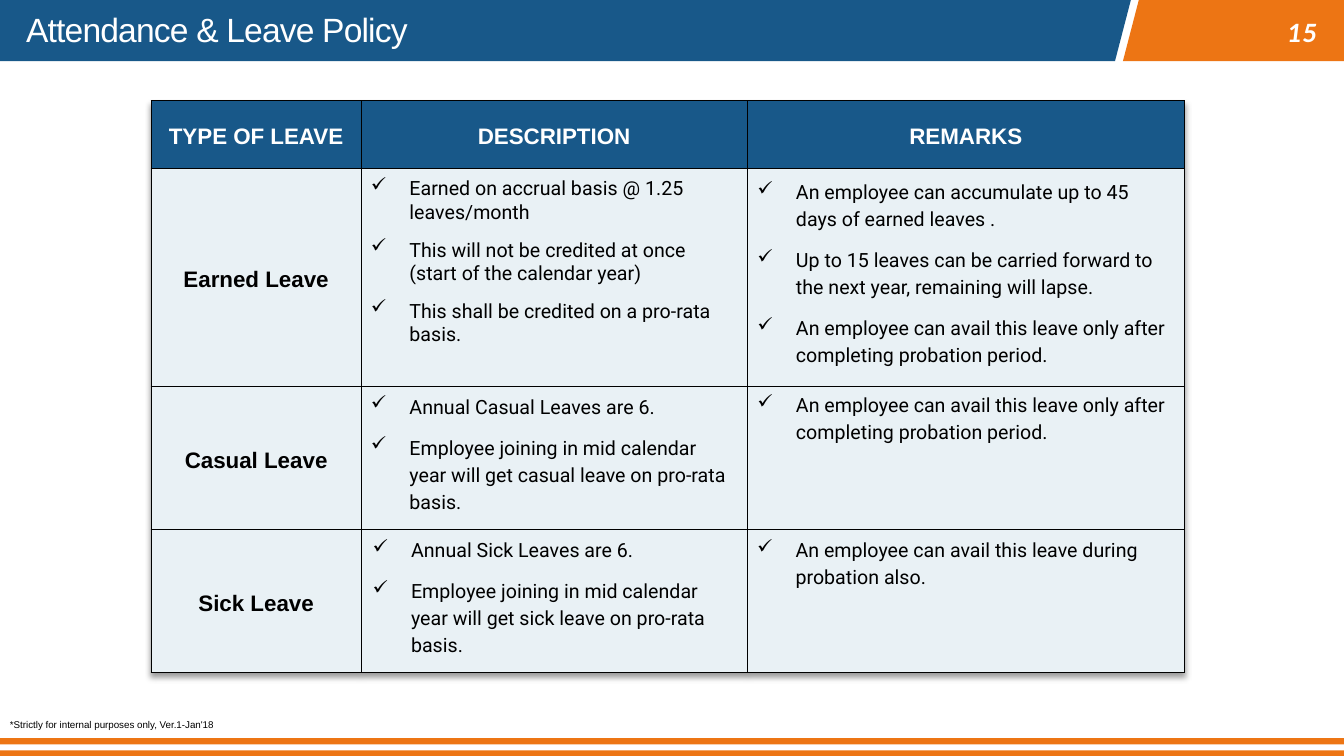
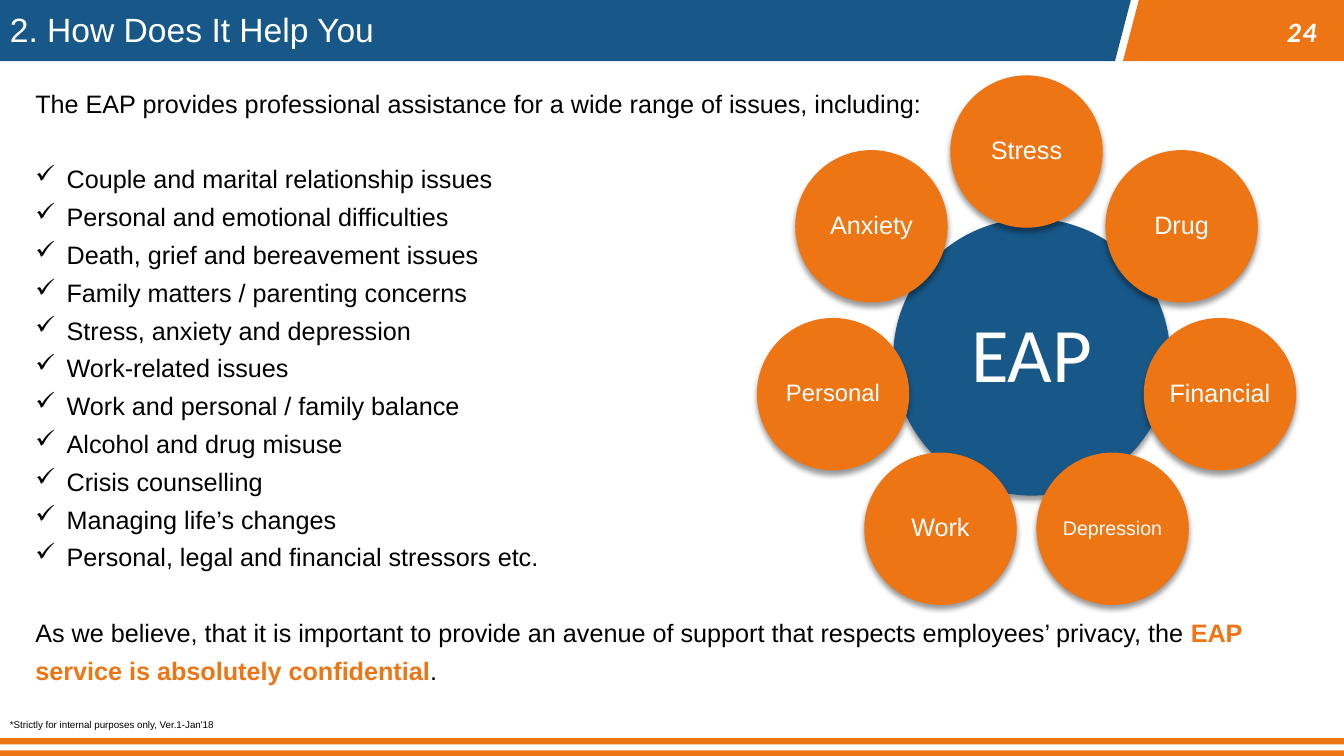
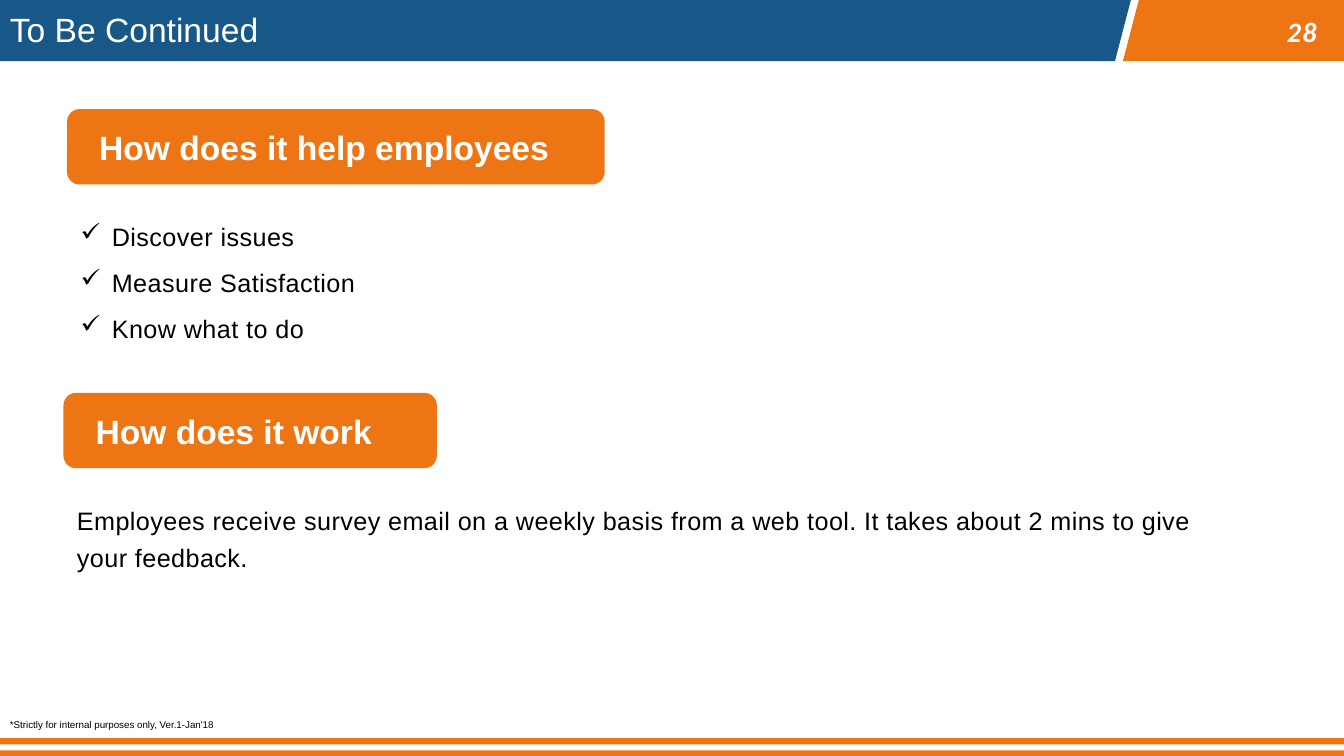
from math import cos, pi, sin

from lxml import etree
from pptx import Presentation
from pptx.dml.color import RGBColor
from pptx.enum.shapes import MSO_SHAPE
from pptx.enum.text import MSO_ANCHOR, PP_ALIGN
from pptx.oxml.ns import qn
from pptx.util import Cm, Pt

RECT = MSO_SHAPE.RECTANGLE
ROUNDED = MSO_SHAPE.ROUNDED_RECTANGLE
OVAL = MSO_SHAPE.OVAL
MIDDLE = MSO_ANCHOR.MIDDLE
CENTER = PP_ALIGN.CENTER

COLORS = {
    "blue": "185889",
    "orange": "ED7514",
    "pale": "E9F1F5",
    "white": "FFFFFF",
    "black": "000000",
}
WIDTH, HEIGHT = 33.87, 19.05
BAND_HEIGHT = 1.54

TITLE = {"size": Pt(24), "name": "Arial", "color": "white"}
HEADING = {**TITLE, "bold": True}
NUMBER = {"size": Pt(20), "name": "Calibri", "color": "white",
          "bold": True, "italic": True, "spc": 90}
FOOTNOTE = {"size": Pt(7), "name": "Arial", "color": "black"}
BODY = {"size": Pt(18), "name": "Arial", "color": "black"}
SPACED = {**BODY, "spc": 30}
EMPHASIS = {**BODY, "color": "orange", "bold": True}
POLICY = {"size": Pt(14), "name": "Roboto", "color": "black"}
LABEL = {"size": Pt(18), "name": "Arial", "color": "white"}
HUB = {"size": Pt(55), "name": "Calibri", "color": "white"}
CELL = {"size": Pt(16), "name": "Arial", "bold": True}

LINE = {"line_spacing": Pt(27)}
CENTERED = {"alignment": CENTER}


def rgb(name):
    return RGBColor.from_string(COLORS[name])


def set_attrs(obj, values):
    for name, value in values.items():
        setattr(obj, name, value)


def paint(shape, color):
    shape.shadow.inherit = False
    shape.fill.solid()
    shape.fill.fore_color.rgb = rgb(color)
    shape.line.fill.background()
    return shape


def add_effect(effects):
    shadow = etree.SubElement(effects, qn("a:outerShdw"), blurRad=str(Pt(4)),
                              dist=str(Pt(3)), dir="5400000", rotWithShape="0")
    color = etree.SubElement(shadow, qn("a:srgbClr"), val=COLORS["black"])
    etree.SubElement(color, qn("a:alpha"), val="40000")


def add_run(p, text, font):
    r = p.add_run()
    r.text = text
    values = dict(font)
    r.font.color.rgb = rgb(values.pop("color"))
    spc = values.pop("spc", None)
    if spc:
        r.font._element.set("spc", str(spc))
    set_attrs(r.font, values)


def add_paragraph(tf, runs, form, indent=0, bullet=False):
    first = tf.paragraphs[0]
    p = tf.add_paragraph() if first.runs else first
    pPr = p._p.get_or_add_pPr()
    if indent:
        pPr.set("marL", str(Cm(indent)))
    if bullet:
        pPr.set("indent", str(-Cm(indent)))
        clr = etree.SubElement(pPr, qn("a:buClr"))
        etree.SubElement(clr, qn("a:srgbClr"), val=COLORS["black"])
        etree.SubElement(pPr, qn("a:buChar"), char="✓")
    set_attrs(p, form)
    for text, font in runs:
        add_run(p, text, font)


def add_text_box(s, x, y, w, h):
    tf = s.shapes.add_textbox(Cm(x), Cm(y), Cm(w), Cm(h)).text_frame
    tf.word_wrap = True
    return tf


def add_block(s, shape, x, y, w, h, color):
    return paint(s.shapes.add_shape(shape, Cm(x), Cm(y), Cm(w), Cm(h)), color)


def add_outline(s, points, color):
    points = [(Cm(x), Cm(y)) for x, y in points]
    builder = s.shapes.build_freeform(*points[0])
    builder.add_line_segments(points[1:])
    paint(builder.convert_to_shape(), color)


def add_slide(prs, title, number, title_left=0, title_spc=0):
    s = prs.slides.add_slide(prs.slide_layouts[6])
    add_outline(s, [(28.5, 0), (0, 0), (0, BAND_HEIGHT), (28.1, BAND_HEIGHT)], "blue")
    add_outline(s, [(WIDTH, 0), (28.7, 0), (28.3, BAND_HEIGHT), (WIDTH, BAND_HEIGHT)], "orange")
    add_block(s, RECT, 0, 18.6, WIDTH, 0.45, "orange")
    add_block(s, RECT, 0, 18.76, WIDTH, 0.15, "white")
    tf = add_text_box(s, title_left, 0, 21, 1.48)
    tf.vertical_anchor = MIDDLE
    add_paragraph(tf, [(title, {**TITLE, "spc": title_spc})], {})
    add_paragraph(add_text_box(s, 32.18, 0.23, 1.5, 1.12), [(number, NUMBER)], {})
    footnote = "*Strictly for internal purposes only, Ver.1-Jan'18"
    add_paragraph(add_text_box(s, 0, 17.98, 10.16, 0.56), [(footnote, FOOTNOTE)], {})
    return s


def add_checklist(s, x, y, w, h, items, spacing):
    tf = add_text_box(s, x, y, w, h)
    for i, item in enumerate(items):
        form = {"line_spacing": spacing, "space_before": Pt(10 if i else 0)}
        add_paragraph(tf, [(item, POLICY)], form, 0.97, True)


def add_borders(cell):
    tcPr = cell._tc.get_or_add_tcPr()
    for i, side in enumerate(("lnL", "lnR", "lnT", "lnB")):
        ln = etree.Element(qn("a:" + side), w=str(Pt(1)))
        fill = etree.SubElement(ln, qn("a:solidFill"))
        etree.SubElement(fill, qn("a:srgbClr"), val=COLORS["black"])
        tcPr.insert(i, ln)


def add_leave_table(s, x, y, widths, heights, rows):
    frame = s.shapes.add_table(len(heights), len(widths), Cm(x), Cm(y),
                               Cm(sum(widths)), Cm(sum(heights)))
    table = frame.table
    effects = etree.Element(qn("a:effectLst"))
    add_effect(effects)
    table._tbl.tblPr.insert(0, effects)
    for column, width in zip(table.columns, widths):
        column.width = Cm(width)
    for i, (row, height, texts) in enumerate(zip(table.rows, heights, rows)):
        row.height = Cm(height)
        for cell, text in zip(row.cells, texts):
            cell.fill.solid()
            cell.fill.fore_color.rgb = rgb("pale" if i else "blue")
            add_borders(cell)
            set_attrs(cell, {"vertical_anchor": MIDDLE, "margin_left": Cm(0.03),
                             "margin_right": Cm(0.03), "margin_top": Cm(0.03),
                             "margin_bottom": 0})
            if text:
                font = {**CELL, "color": "black" if i else "white"}
                add_paragraph(cell.text_frame, [(text, font)],
                              {**CENTERED, "line_spacing": 1.15})


def add_circle(s, cx, cy, size, text, color, font):
    shape = add_block(s, OVAL, cx - size / 2, cy - size / 2, size, size, color)
    add_effect(shape._element.spPr.find(qn("a:effectLst")))
    tf = shape.text_frame
    set_attrs(tf, {"margin_left": 0, "margin_right": 0, "margin_top": 0,
                   "margin_bottom": 0, "vertical_anchor": MIDDLE})
    add_paragraph(tf, [(text, font)], {**CENTERED, "line_spacing": 0.9})


def add_section(s, x, y, width, heading):
    add_block(s, ROUNDED, x, y, width, 1.9, "orange")
    tf = add_text_box(s, x + 0.09, y + 0.39, 29.18, 5)
    add_paragraph(tf, [(heading, HEADING)], LINE, 0.47)
    return tf


def build_leave_policy(prs):
    s = add_slide(prs, "Attendance & Leave Policy", "15", 0.41, -60)
    add_leave_table(s, 3.81, 2.54, [5.29, 9.73, 11.02], [1.7, 5.5, 3.6, 3.6], [
        ("TYPE OF LEAVE", "DESCRIPTION", "REMARKS"),
        ("Earned Leave", "", ""),
        ("Casual Leave", "", ""),
        ("Sick Leave", "", ""),
    ])
    after_probation = "An employee can avail this leave only after completing probation period."
    checklists = [
        (9.1, 4.32, 9.73, 4.57, 1.0, [
            "Earned on accrual basis @ 1.25 leaves/month",
            "This will not be credited at once (start of the calendar year)",
            "This shall be credited on a pro-rata basis."]),
        (9.1, 9.73, 9.73, 3.38, 1.15, [
            "Annual Casual Leaves are 6.",
            "Employee joining in mid calendar year will get casual leave on pro-rata basis."]),
        (9.14, 13.34, 9.73, 3.38, 1.15, [
            "Annual Sick Leaves are 6.",
            "Employee joining in mid calendar year will get sick leave on pro-rata basis."]),
        (18.84, 4.32, 10.9, 5.05, 1.15, [
            "An employee can accumulate up to 45 days of earned leaves .",
            "Up to 15 leaves can be carried forward to the next year, remaining will lapse.",
            after_probation]),
        (18.84, 9.7, 10.9, 1.63, 1.15, [after_probation]),
        (18.83, 13.34, 10.9, 1.63, 1.15, [
            "An employee can avail this leave during probation also."]),
    ]
    for x, y, w, h, spacing, items in checklists:
        add_checklist(s, x, y, w, h, items, spacing)


def build_assistance(prs):
    s = add_slide(prs, "2. How Does It Help You", "24")
    tf = add_text_box(s, 0.64, 1.9, 31.83, 15.65)
    intro = "The EAP provides professional assistance for a wide range of issues, including:"
    add_paragraph(tf, [(intro, BODY)], LINE)
    issues = [
        "Couple and marital relationship issues",
        "Personal and emotional difficulties",
        "Death, grief and bereavement issues",
        "Family matters / parenting concerns",
        "Stress, anxiety and depression",
        "Work-related issues",
        "Work and personal / family balance",
        "Alcohol and drug misuse",
        "Crisis counselling",
        "Managing life’s changes",
        "Personal, legal and financial stressors etc.",
    ]
    for i, issue in enumerate(issues):
        form = {**LINE, "space_before": Pt(0 if i else 27)}
        add_paragraph(tf, [(issue, BODY)], form, 0.79, True)
    add_paragraph(tf, [
        ("As we believe, that it is important to provide an avenue of support "
         "that respects employees’ privacy, the ", BODY),
        ("EAP service is absolutely confidential", EMPHASIS),
        (".", BODY),
    ], {**LINE, "space_before": Pt(27)})

    add_circle(s, 26, 9, 6.98, "EAP", "blue", HUB)
    topics = [("Stress", 18), ("Drug", 18), ("Financial", 18), ("Depression", 14),
              ("Work", 18), ("Personal", 17), ("Anxiety", 18)]
    radius = 5
    for i, (topic, size) in enumerate(topics):
        angle = 2 * pi * i / len(topics)
        add_circle(s, 25.87 + radius * sin(angle), 8.82 - radius * cos(angle), 3.84,
                   topic, "orange", {**LABEL, "size": Pt(size)})


def build_survey(prs):
    s = add_slide(prs, "To Be Continued", "28")
    tf = add_section(s, 1.69, 2.75, 13.55, "How does it help employees")
    for i, benefit in enumerate(["Discover issues", "Measure Satisfaction", "Know what to do"]):
        form = {**LINE, "space_before": Pt(6 if i else 33)}
        add_paragraph(tf, [(benefit, SPACED)], form, 0.79, True)
    tf = add_section(s, 1.6, 9.9, 9.41, "How does it work")
    add_paragraph(tf, [("Employees receive survey email on a weekly basis from a web tool. "
                        "It takes about 2 mins to give your feedback.", SPACED)],
                  {**LINE, "space_before": Pt(33)})


def main():
    prs = Presentation()
    prs.slide_width, prs.slide_height = Cm(WIDTH), Cm(HEIGHT)
    build_leave_policy(prs)
    build_assistance(prs)
    build_survey(prs)
    prs.save("out.pptx")


if __name__ == "__main__":
    main()
